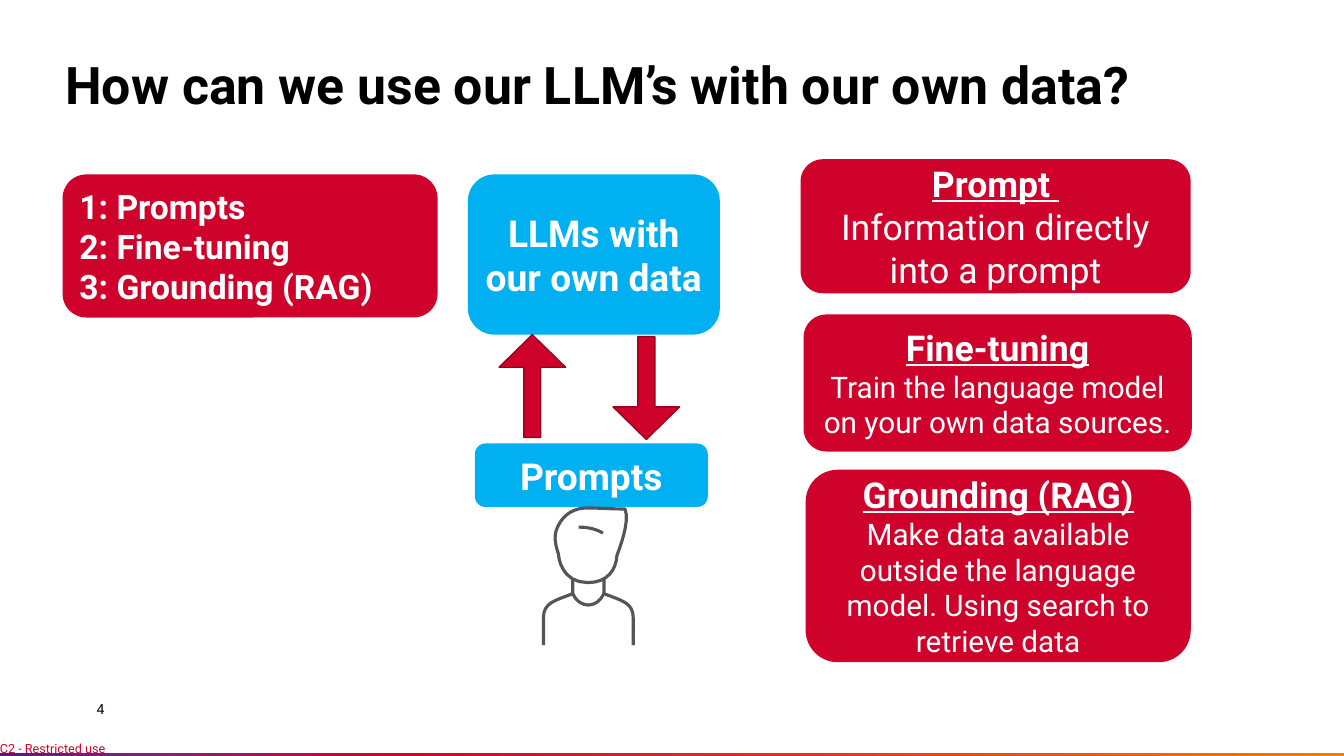
"""Build a slide on three ways to use language models with own data."""
import lxml.etree
import pptx
import pptx.dml.color
import pptx.enum.shapes
import pptx.enum.text
import pptx.oxml.ns
import pptx.util

Inches, Pt = pptx.util.Inches, pptx.util.Pt
KIND = pptx.enum.shapes.MSO_SHAPE
ALIGN = pptx.enum.text.PP_ALIGN
ANCHOR = pptx.enum.text.MSO_ANCHOR

FONT = "Roboto"
HUES = {"red": "CF022B", "edge": "990120", "blue": "00B0F0", "white": "FFFFFF",
        "black": "000000", "ink": "555557"}
STOPS = [(0, "4D1D82"), (12, "8B1D82"), (29, "CF022B"), (100, "F07D00")]
TITLE = "How can we use our LLM’s with our own data?"
TEXTS = [
    ((0.96, 6.95, 1.53, 0.17), "4", 10, "black", ANCHOR.MIDDLE),
    ((0, 7.35, 1.13, 0.15), "C2 - Restricted use", 9, "red", ANCHOR.TOP),
]
BOXES = [
    ((4.71, 4.4, 2.31, 0.63), "blue", ["Prompts"], 26.5, ALIGN.CENTER),
    ((4.64, 1.73, 2.5, 1.59), "blue", ["LLMs with our own data"], 26.5, ALIGN.CENTER),
    ((0.62, 1.73, 3.72, 1.42), "red",
     ["1: Prompts", "2: Fine-tuning", "3: Grounding (RAG)"], 24, ALIGN.LEFT),
]
ARROWS = [(4.95, 3.32, 0), (6.08, 3.34, 180)]
CARDS = [
    ((7.99, 4.66, 3.82, 1.91), "Grounding (RAG)",
     "Make data available outside the language model. Using search to retrieve data", 21.2),
    ((7.97, 3.12, 3.85, 1.36), "Fine-tuning",
     "Train the language model on your own data sources.", 21.2),
    ((7.94, 1.58, 3.87, 1.33), "Prompt ", "Information directly into a prompt", 25.4),
]
AXIS = 5.835
HEAD = [(5.83, 5.78), (5.57, 5.78), (5.54, 5.53), (5.54, 5.5), (5.5, 5.38),
        (5.49, 5.3), (5.54, 5.21), (5.6, 5.09), (5.71, 5.04), (5.82, 5.04),
        (5.95, 5.04), (6.07, 5.05), (6.2, 5.05), (6.25, 5.18), (6.14, 5.45),
        (6.12, 5.51), (6.11, 5.65), (6.03, 5.78), (5.83, 5.78)]
ARM = [(5.39, 6.4), (5.39, 6.31), (5.39, 6.22), (5.39, 6.13), (5.39, 5.98),
       (5.5, 5.96), (5.68, 5.89), (5.68, 5.84), (5.68, 5.79), (5.68, 5.74)]
COLLAR = [(5.68, 5.89), (5.75, 6.04), (5.92, 6.04), (5.99, 5.89)]
BROW = [(5.74, 5.23), (5.83, 5.23), (5.92, 5.25), (5.98, 5.29)]


def tint(name):
    return pptx.dml.color.RGBColor.from_string(HUES[name])


def paint(shape, fill=None, line=None, width=1):
    shape.shadow.inherit = False
    if fill:
        shape.fill.solid()
        shape.fill.fore_color.rgb = tint(fill)
    else:
        shape.fill.background()
    if line:
        shape.line.color.rgb = tint(line)
        shape.line.width = Pt(width)
    else:
        shape.line.fill.background()


def write(frame, rows, hue, align):
    frame.word_wrap = True
    for at, (text, size, bold, under) in enumerate(rows):
        para = frame.add_paragraph() if at else frame.paragraphs[0]
        para.add_run().text = text
        para.alignment = align
        font = para.font
        font.name, font.size = FONT, Pt(size)
        font.bold, font.underline = bold, under
        font.color.rgb = tint(hue)


def label(slide, spot, row, hue, anchor):
    frame = slide.shapes.add_textbox(*map(Inches, spot)).text_frame
    write(frame, [row], hue, ALIGN.LEFT)
    frame.vertical_anchor = anchor
    return frame


def block(slide, spot, fill, rows, align):
    box = slide.shapes.add_shape(KIND.ROUNDED_RECTANGLE, *map(Inches, spot))
    paint(box, fill)
    box.text_frame.vertical_anchor = ANCHOR.MIDDLE
    write(box.text_frame, rows, "white", align)


def stripe(slide):
    bar = slide.shapes.add_shape(KIND.RECTANGLE, *map(Inches, (0, 7.47, 13.35, 0.05)))
    paint(bar, "red")
    bar.fill.gradient()
    bar.fill.gradient_angle = 0
    qn = pptx.oxml.ns.qn
    stops = next(bar.element.iter(qn("a:gsLst")))
    for stop in list(stops):
        stops.remove(stop)
    for part, hue in STOPS:
        stop = lxml.etree.SubElement(stops, qn("a:gs"), pos=str(part * 1000))
        lxml.etree.SubElement(stop, qn("a:srgbClr"), val=hue)


def curve(points, steps=8):
    """Return points along a chain of cubic curves."""
    spots = [points[0]]
    for at in range(0, len(points) - 1, 3):
        for step in range(1, steps + 1):
            t = step / steps
            parts = ((1 - t) ** 3, 3 * t * (1 - t) ** 2, 3 * t * t * (1 - t), t ** 3)
            spots.append(tuple(sum(w * p[axis] for w, p in zip(parts, points[at:at + 4]))
                               for axis in (0, 1)))
    return [(Inches(x), Inches(y)) for x, y in spots]


def person(slide):
    group = slide.shapes.add_group_shape()
    mirror = [(2 * AXIS - x, y) for x, y in ARM]
    for points in (HEAD, mirror, COLLAR, BROW, ARM):
        spots = curve(points)
        pen = group.shapes.build_freeform(*spots[0])
        pen.add_line_segments(spots[1:], close=points is HEAD)
        paint(pen.convert_to_shape(), line="ink", width=2.25)


def main():
    deck = pptx.Presentation()
    deck.slide_width, deck.slide_height = Inches(13.33), Inches(7.5)
    slide = deck.slides.add_slide(deck.slide_layouts[6])
    stripe(slide)
    for spot, text, size, hue, anchor in TEXTS:
        frame = label(slide, spot, (text, size, False, False), hue, anchor)
        frame.margin_left = frame.margin_right = 0
        frame.margin_top = frame.margin_bottom = 0
    title = label(slide, (0.55, 0.26, 12.23, 0.94), (TITLE, 37, True, False),
                  "black", ANCHOR.BOTTOM)
    title.paragraphs[0].line_spacing = 0.9
    for spot, fill, lines, size, align in BOXES:
        block(slide, spot, fill, [(line, size, True, False) for line in lines], align)
    for left, top, turn in ARROWS:
        arrow = slide.shapes.add_shape(KIND.UP_ARROW, *map(Inches, (left, top, 0.66, 1.02)))
        arrow.adjustments[0], arrow.adjustments[1] = 0.255, 0.49
        arrow.rotation = turn
        paint(arrow, "red", "edge")
    for spot, head, body, size in CARDS:
        rows = [(head, 25.4, True, True), (body, size, False, False)]
        block(slide, spot, "red", rows, ALIGN.CENTER)
    person(slide)
    deck.save("out.pptx")


if __name__ == "__main__":
    main()
